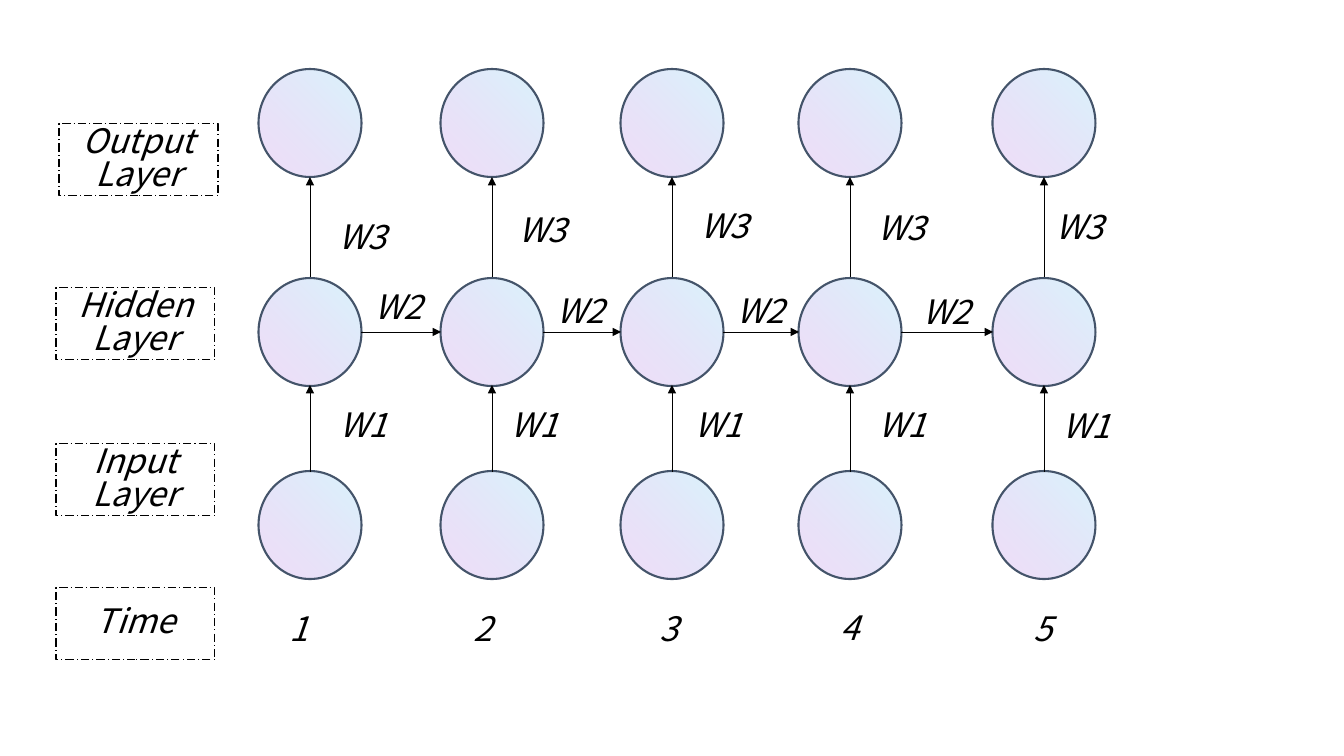
from lxml.etree import SubElement
from pptx import Presentation
from pptx.dml.color import RGBColor
from pptx.enum.dml import MSO_LINE
from pptx.enum.shapes import MSO_CONNECTOR, MSO_SHAPE
from pptx.enum.text import MSO_ANCHOR, PP_ALIGN
from pptx.oxml.ns import qn
from pptx.util import Pt

SCALE = 914400 / 100.8
BLACK = RGBColor(0x00, 0x00, 0x00)
SLATE = RGBColor(0x44, 0x54, 0x6A)
SKY = RGBColor(0x69, 0xD4, 0xF4)
VIOLET = RGBColor(0x9F, 0x39, 0xD5)


def px(*sizes):
    return [round(size * SCALE) for size in sizes]


def apply(target, style):
    for name, value in style.items():
        setattr(target, name, value)


class Sketch:
    font = {"name": "Noto Sans CJK KR", "size": Pt(24), "italic": True}
    frame = {"word_wrap": True, "vertical_anchor": MSO_ANCHOR.MIDDLE}
    para = {"alignment": PP_ALIGN.CENTER, "line_spacing": 0.82}
    inset = ("margin_left", "margin_top", "margin_right", "margin_bottom")
    stops = ((SKY, 26), (VIOLET, 17))
    box = (159, 72)

    def __init__(self, deck):
        self.slide = deck.slides.add_slide(deck.slide_layouts[6])
        self.shapes = self.slide.shapes

    def line(self, shape, color, width, dash=None):
        shape.line.color.rgb = color
        apply(shape.line, {"width": Pt(width), "dash_style": dash})

    def letter(self, shape, words):
        frame = shape.text_frame
        apply(frame, self.frame)
        apply(frame, dict.fromkeys(self.inset, px(13)[0]))
        frame.text = words
        for para in frame.paragraphs:
            apply(para, self.para)
            for run in para.runs:
                apply(run.font, self.font)
                run.font.color.rgb = BLACK

    def text(self, words, x, y):
        self.letter(self.shapes.add_textbox(*px(x, y, *self.box)), words)

    def label(self, words, x, y):
        shape = self.shapes.add_shape(MSO_SHAPE.RECTANGLE, *px(x, y, *self.box))
        shape.shadow.inherit = False
        shape.fill.background()
        self.line(shape, BLACK, 0.75, MSO_LINE.LONG_DASH_DOT)
        self.letter(shape, words)

    def node(self, x, y, width=108, height=103):
        shape = self.shapes.add_shape(
            MSO_SHAPE.OVAL, *px(x - width / 2, y - height / 2, width, height))
        shape.shadow.inherit = False
        shape.rotation = 270
        shape.fill.gradient()
        shape.fill.gradient_angle = 135
        for stop, (color, _) in zip(shape.fill.gradient_stops, self.stops):
            stop.color.rgb = color
        tints = shape.element.spPr.iter(qn("a:srgbClr"))
        for tint, (_, alpha) in zip(tints, self.stops):
            SubElement(tint, qn("a:alpha"), val=str(alpha * 1000))
        self.line(shape, SLATE, 1.5)

    def arrow(self, *ends):
        link = self.shapes.add_connector(MSO_CONNECTOR.STRAIGHT, *px(*ends))
        self.line(link, BLACK, 0.5)
        props = link.element.spPr
        SubElement(props.find(qn("a:ln")), qn("a:tailEnd"), type="triangle")
        SubElement(props, qn("a:effectLst"))


def main():
    deck = Presentation()
    deck.slide_width, deck.slide_height = px(1344, 756)
    net = Sketch(deck)

    steps = (310, 492, 672, 850, 1044)
    layers = (123, 332, 525)
    for x in steps:
        for y in layers:
            net.node(x, y)
        for low, high in ((472, 385), (277, 177)):
            net.arrow(x, low, x, high)
    for left, right in zip(steps, steps[1:]):
        net.arrow(left + 51, layers[1], right - 51, layers[1])

    for words, x, y in (("Output\nLayer", 59, 124), ("Hidden\nLayer", 56, 288),
                        ("Input\nLayer", 56, 444), ("Time", 56, 588)):
        net.label(words, x, y)

    for step, (x, y) in enumerate(
            ((219, 596), (403, 596), (589, 596), (770, 595), (963, 596)), 1):
        net.text(str(step), x, y)

    weights = {
        "W1": ((284, 392), (455, 392), (639, 392), (823, 392), (1007, 393)),
        "W2": ((319, 274), (501, 278), (681, 278), (867, 279)),
        "W3": ((283, 204), (463, 197), (645, 193), (822, 195), (1000, 194)),
    }
    for words, spots in weights.items():
        for x, y in spots:
            net.text(words, x, y)

    deck.save("out.pptx")


if __name__ == "__main__":
    main()
